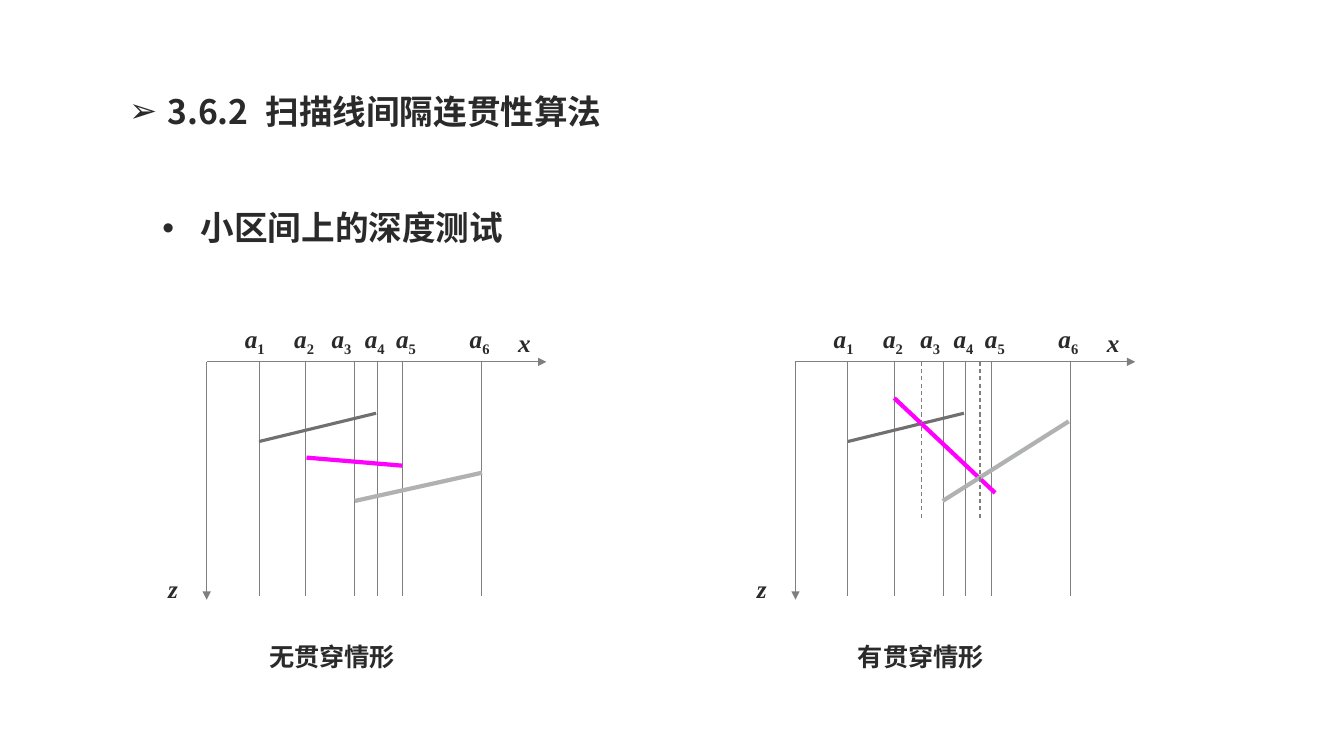
"""Build the slide on depth tests over small intervals, with two x-z diagrams."""
from lxml.etree import SubElement
from pptx import Presentation
from pptx.dml.color import RGBColor
from pptx.enum.dml import MSO_LINE
from pptx.enum.shapes import MSO_CONNECTOR
from pptx.enum.text import MSO_ANCHOR, MSO_AUTO_SIZE, PP_ALIGN
from pptx.oxml.ns import qn
from pptx.util import Inches, Pt

INK = RGBColor(0x2A, 0x2A, 0x2A)
AXIS = RGBColor(0x7F, 0x7F, 0x7F)
DARK = RGBColor(0x70, 0x70, 0x70)
MAGENTA = RGBColor(0xFF, 0x00, 0xFF)
SILVER = RGBColor(0xB0, 0xB1, 0xB3)
HAN, SERIF, SANS = "Noto Sans CJK SC", "Times New Roman", "Karla"

AXIS_TOP = 3.59
INTERVAL_DEPTH = 2.32
INTERVALS = [(0.52, 0.28), (0.98, 0.77), (1.47, 1.14),
             (1.69, 1.47), (1.94, 1.78), (2.73, 2.51)]
DIAGRAMS = [
    ("无贯穿情形", 2.05, [],
     [(0.52, 0.79, 1.68, 0.51, DARK, 2.25),
      (0.99, 0.95, 1.94, 1.03, MAGENTA, 3),
      (1.47, 1.38, 2.73, 1.10, SILVER, 3)]),
    ("有贯穿情形", 7.89, [1.25, 1.83],
     [(0.52, 0.79, 1.67, 0.51, DARK, 2.25),
      (0.98, 0.36, 1.98, 1.30, MAGENTA, 3),
      (1.46, 1.38, 2.71, 0.59, SILVER, 3)]),
]

deck = Presentation()
deck.slide_width, deck.slide_height = Inches(13.33), Inches(7.5)
slide = deck.slides.add_slide(deck.slide_layouts[1])


def add_run(paragraph, text, size, font, italic=False):
    run = paragraph.add_run()
    run.text = text
    run.font.size, run.font.name = Pt(size), font
    run.font.bold, run.font.italic = True, italic
    run.font.color.rgb = INK
    properties = run._r.get_or_add_rPr()
    SubElement(properties, qn("a:ea")).set("typeface", HAN)
    return properties


def add_line(x1, y1, x2, y2, color=AXIS, width=0.75, arrow=False):
    line = slide.shapes.add_connector(
        MSO_CONNECTOR.STRAIGHT, *[Inches(v) for v in (x1, y1, x2, y2)])
    line.line.color.rgb, line.line.width = color, Pt(width)
    if arrow:
        SubElement(line.line._get_or_add_ln(), qn("a:tailEnd")).set("type", "triangle")
    SubElement(line._element.spPr, qn("a:effectLst"))
    return line


heading, topic = slide.shapes.title, slide.placeholders[1]
for holder, top, height, inset, anchor, margin, bullet, pieces, font in [
    (heading, 0.4, 1.45, 0.05, MSO_ANCHOR.MIDDLE, 0.69, "➢",
     ["3.6.2", " ", "扫描线间隔连贯性算法"], HAN),
    (topic, 2, 4.76, 0.1, MSO_ANCHOR.TOP, 0.97, "•", ["小区间上的深度测试"], SERIF),
]:
    holder.left, holder.top = Inches(0.92), Inches(top)
    holder.width, holder.height = Inches(11.5), Inches(height)
    frame = holder.text_frame
    frame.auto_size, frame.vertical_anchor = MSO_AUTO_SIZE.NONE, anchor
    frame.margin_left = frame.margin_right = Inches(inset)
    frame.margin_top = frame.margin_bottom = Inches(inset)
    paragraph = frame.paragraphs[0]
    paragraph.alignment = PP_ALIGN.LEFT
    paragraph.line_spacing, paragraph.space_before = 0.9, Pt(18)
    layout = paragraph._p.get_or_add_pPr()
    layout.set("marL", str(Inches(margin)))
    layout.set("indent", str(Inches(-0.38)))
    SubElement(layout, qn("a:buFont")).set("typeface", "Arial")
    SubElement(layout, qn("a:buChar")).set("char", bullet)
    for piece in pieces:
        properties = add_run(paragraph, piece, 24, font)
        if piece == " ":
            properties.set("spc", "650")

for caption, origin, crossings, surfaces in DIAGRAMS:
    for x, _ in INTERVALS:
        add_line(origin + x, AXIS_TOP, origin + x, AXIS_TOP + INTERVAL_DEPTH)
    for x1, z1, x2, z2, color, width in surfaces:
        add_line(origin + x1, AXIS_TOP + z1, origin + x2, AXIS_TOP + z2, color, width)
    add_line(origin, AXIS_TOP, origin + 3.37, AXIS_TOP, arrow=True)
    add_line(origin, AXIS_TOP, origin, AXIS_TOP + 2.36, arrow=True)
    for x in crossings:
        crossing = add_line(origin + x, AXIS_TOP, origin + x, AXIS_TOP + 1.57)
        crossing.line.dash_style = MSO_LINE.DASH

    labels = [("a", str(number), x, -0.43, 0.6, SERIF)
              for number, (_, x) in enumerate(INTERVALS, 1)]
    labels += [("x", "", 2.99, -0.39, 0.57, SERIF),
               ("z", "", -0.48, 2.05, 0.63, SERIF),
               (caption, "", 0.52, 2.72, 3.57, SANS)]
    for text, subscript, x, z, width, font in labels:
        label = slide.shapes.add_textbox(
            Inches(origin + x), Inches(AXIS_TOP + z), Inches(width), Inches(0.4))
        label.text_frame.word_wrap = True
        label.text_frame.auto_size = MSO_AUTO_SIZE.SHAPE_TO_FIT_TEXT
        paragraph = label.text_frame.paragraphs[0]
        add_run(paragraph, text, 18, font, italic=font == SERIF)
        if subscript:
            add_run(paragraph, subscript, 18, font).set("baseline", "-25000")

deck.save("out.pptx")
